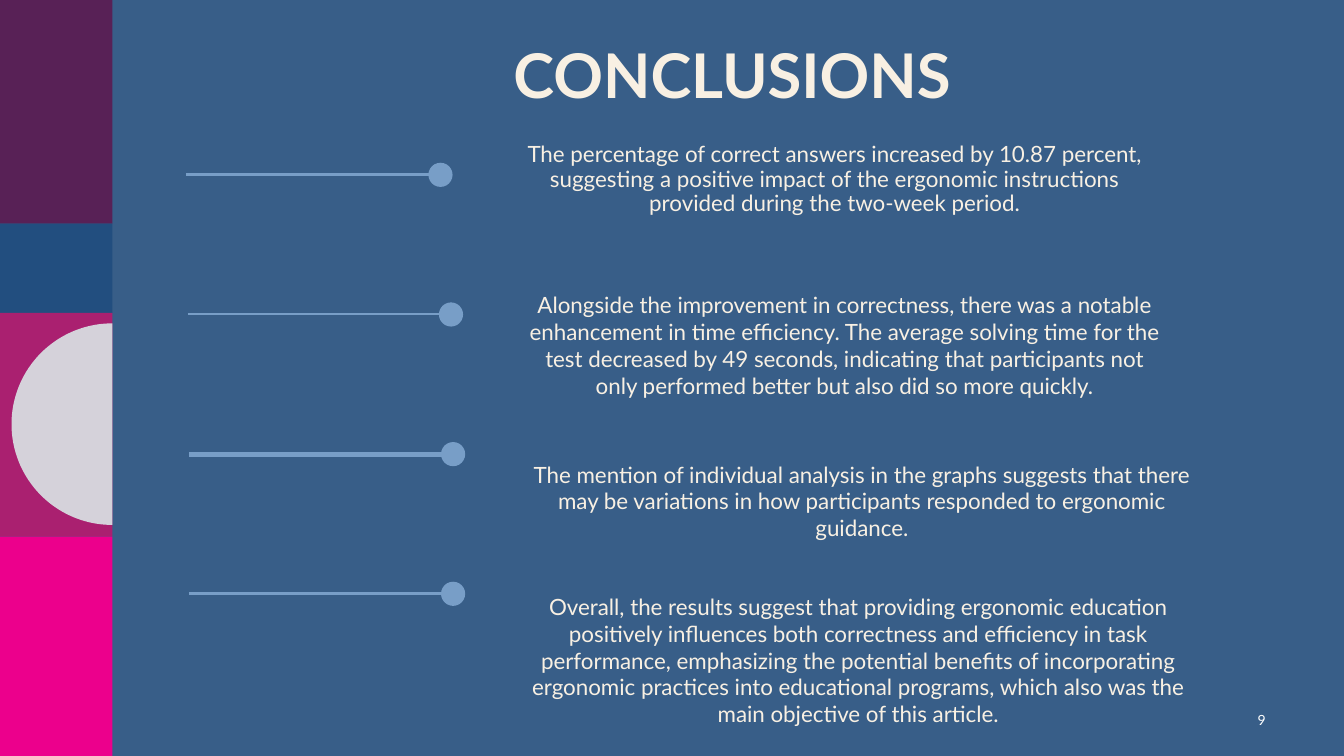
import math

from lxml import etree
from pptx import Presentation
from pptx import util as u
from pptx.dml.color import RGBColor
from pptx.enum import shapes, text
from pptx.oxml.ns import qn

PX = 9525  # EMU per pixel on a 1280 x 720 slide
FONT = "Lato"
COLORS = {
    "background": "385E88",
    "plum": "582156",
    "navy": "224E7F",
    "berry": "AA2070",
    "pink": "EC008C",
    "gray": "D5D2DA",
    "marker": "789EC7",
    "cream": "F8F0E3",
    "white": "FFFFFF",
}
STRIPES = [("plum", 213), ("navy", 85), ("berry", 213), ("pink", 209)]
MARKER_TOP, MARKER_STEP = 166, 133
MARKER_LINES = [(177, 420), (179, 422), (180, 423), (180, 423)]
DOT_LEFTS = [408, 418, 420, 420]
DOT_SIZE = 23
FIRST_CONCLUSION = (
    "The percentage of correct answers increased by 10.87 percent, suggesting a positive "
    "impact of the ergonomic instructions provided during the two-week period."
)
OTHER_CONCLUSIONS = [
    ((491, 273, 627, 139),
     "Alongside the improvement in correctness, there was a notable enhancement in time "
     "efficiency. The average solving time for the test decreased by 49 seconds, indicating "
     "that participants not only performed better but also did so more quickly."),
    ((498, 434, 646, 87),
     "The mention of individual analysis in the graphs suggests that there may be variations "
     "in how participants responded to ergonomic guidance."),
    ((479, 560, 677, 139),
     "Overall, the results suggest that providing ergonomic education positively influences "
     "both correctness and efficiency in task performance, emphasizing the potential benefits "
     "of incorporating ergonomic practices into educational programs, which also was the main "
     "objective of this article."),
]


def emu(box):
    return [u.Emu(length * PX) for length in box]


def color(name):
    return RGBColor.from_string(COLORS[name])


def paint(shape, name):
    shape.shadow.inherit = False
    shape.fill.solid()
    shape.fill.fore_color.rgb = color(name)
    shape.line.fill.background()


def add_shape(slide, kind, box, name):
    paint(slide.shapes.add_shape(kind, *emu(box)), name)


def add_line(slide, left, right, y):
    line = slide.shapes.add_connector(
        shapes.MSO_CONNECTOR.STRAIGHT, *emu((left, y, right, y)))
    line.line.color.rgb = color("marker")
    line.line.width = u.Pt(2)
    etree.SubElement(line.element.spPr, qn("a:effectLst"))


def write(shape, words, size, name="cream", bold=False,
          align=text.PP_ALIGN.CENTER, anchor=text.MSO_ANCHOR.TOP):
    """Fill the shape with one styled paragraph and return that paragraph."""
    frame = shape.text_frame
    frame.word_wrap = True
    frame.auto_size = text.MSO_AUTO_SIZE.NONE
    frame.vertical_anchor = anchor
    paragraph = frame.paragraphs[0]
    paragraph.alignment = align
    run = paragraph.add_run()
    run.text = words
    run.font.name = FONT
    run.font.size = u.Pt(size)
    run.font.bold = bold
    run.font.color.rgb = color(name)
    return paragraph


def place(shape, box):
    shape.left, shape.top, shape.width, shape.height = emu(box)


def add_sidebar(slide, box):
    """Stack the stripes in the box and set a half disc against its right edge."""
    left, top, width, _ = box
    for name, height in STRIPES:
        add_shape(slide, shapes.MSO_SHAPE.RECTANGLE, (left, top, width, height), name)
        top += height

    radius, center_x, center_y = 96, left + width, box[1] + 404
    angles = [math.radians(degree) for degree in range(90, 271, 2)]
    points = [((center_x + radius * math.cos(angle)) * PX,
               (center_y + radius * math.sin(angle)) * PX) for angle in angles]
    outline = slide.shapes.build_freeform(*points[0])
    outline.add_line_segments(points[1:], close=True)
    paint(outline.convert_to_shape(), "gray")


def add_markers(slide):
    for row, ((left, right), dot_left) in enumerate(zip(MARKER_LINES, DOT_LEFTS)):
        y = MARKER_TOP + row * MARKER_STEP
        add_line(slide, left, right, y)
        dot = (dot_left, y - DOT_SIZE // 2, DOT_SIZE, DOT_SIZE)
        add_shape(slide, shapes.MSO_SHAPE.OVAL, dot, "marker")
    add_line(slide, *MARKER_LINES[2], 434)  # thickens the third marker line


def add_title(slide, box):
    title = slide.shapes.title
    place(title, box)
    write(title, "CONCLUSIONS", 44, bold=True).line_spacing = 0.9


def add_conclusions(slide, body_box):
    body = slide.placeholders[1]
    place(body, body_box)
    paragraph = write(body, FIRST_CONCLUSION, 16)
    paragraph.line_spacing = 0.9
    paragraph.space_before = u.Pt(10)
    properties = paragraph._p.get_or_add_pPr()
    properties.set("marL", "0")
    properties.set("indent", "0")
    etree.SubElement(properties, qn("a:buNone"))
    for box, words in OTHER_CONCLUSIONS:
        write(slide.shapes.add_textbox(*emu(box)), words, 16)


def add_slide_number(slide, box):
    write(slide.shapes.add_textbox(*emu(box)), "9", 10, "white",
          align=text.PP_ALIGN.RIGHT, anchor=text.MSO_ANCHOR.MIDDLE)


def add_conclusions_slide(presentation):
    slide = presentation.slides.add_slide(presentation.slide_layouts[1])
    slide.background.fill.solid()
    slide.background.fill.fore_color.rgb = color("background")
    add_sidebar(slide, (0, 0, 107, 720))
    add_markers(slide)
    add_title(slide, (163, 38, 1069, 94))
    add_conclusions(slide, (472, 132, 646, 94))
    add_slide_number(slide, (1167, 667, 48, 38))


def main():
    presentation = Presentation()
    presentation.slide_width, presentation.slide_height = emu((1280, 720))
    add_conclusions_slide(presentation)
    presentation.save("out.pptx")


if __name__ == "__main__":
    main()
